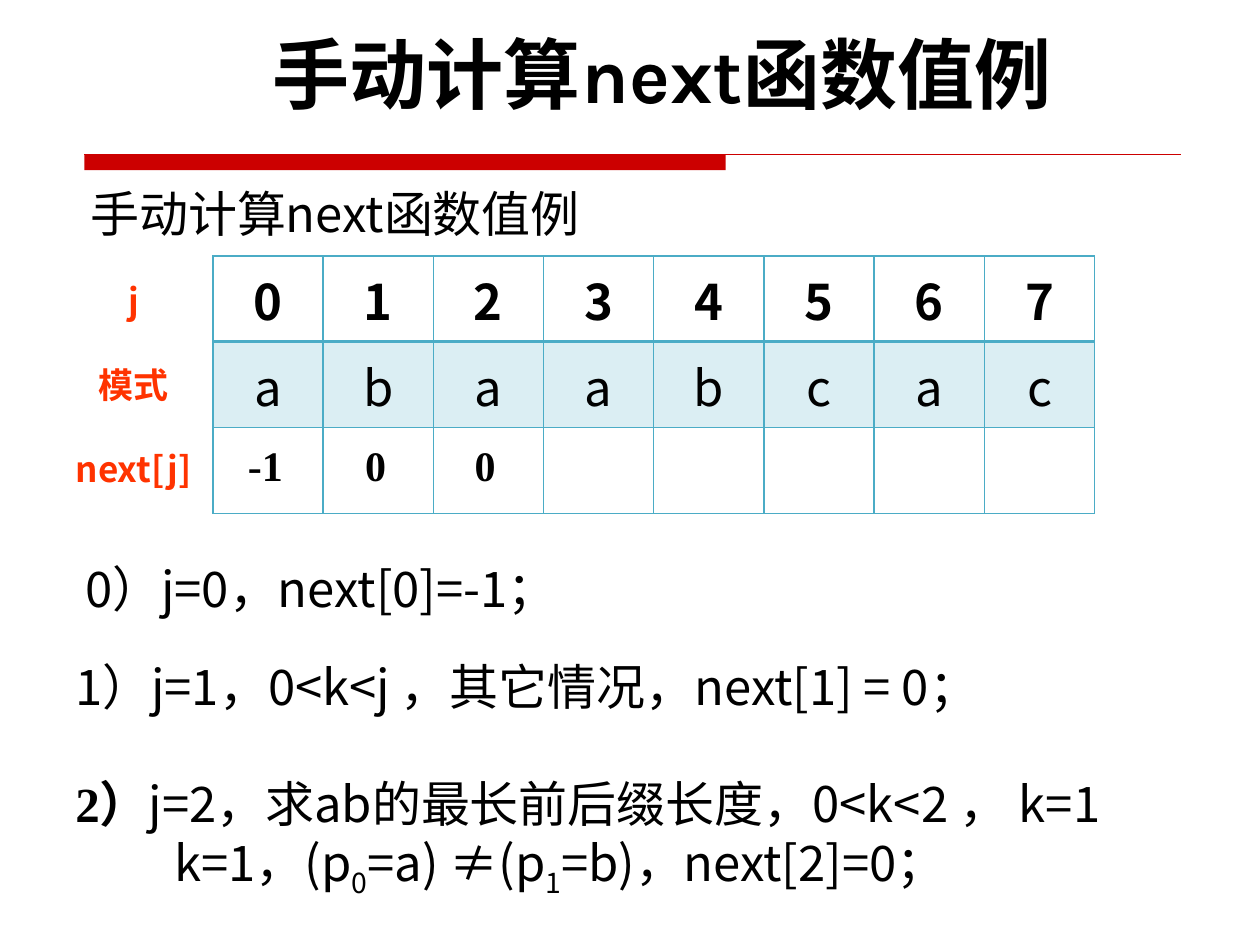
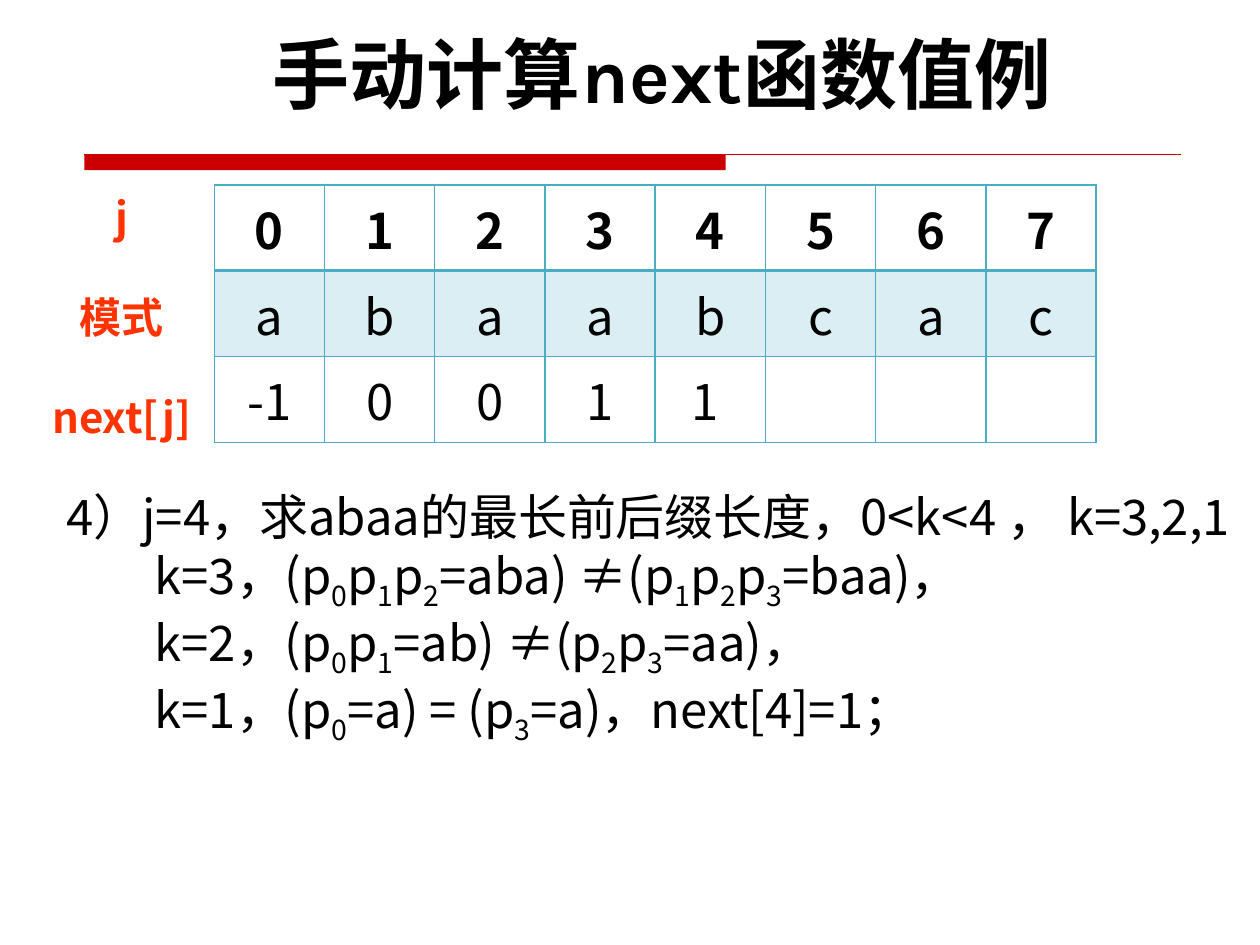
from lxml import etree
from pptx import Presentation
from pptx import util as u
from pptx.dml import color
from pptx.enum import shapes, text
from pptx.oxml import ns

BLACK, RED, ORANGE, TEAL = "000000", "CC0000", "FF3300", "4BACC6"
SANS, SERIF, TITLE_FONT = "Noto Sans CJK SC", "Times New Roman", "Karla"
HEADING = "手动计算next函数值例"
CENTER = text.PP_ALIGN.CENTER


def rgb(value):
    return color.RGBColor.from_string(value)


def write(frame, lines, size=28, font=SANS, ink=BLACK, bold=False, align=None):
    """Fill a frame; the character after each underscore is a subscript."""
    frame.text = "\n".join(line.replace("_", "") for line in lines)
    for paragraph, line in zip(frame.paragraphs, lines):
        paragraph.alignment = align
        first, *rest = line.split("_")
        pieces = [(first, False)]
        for part in rest:
            pieces += [(part[0], True), (part[1:], False)]
        paragraph.runs[0].text = first
        for piece, _ in pieces[1:]:
            paragraph.add_run().text = piece
        for run, (_, lowered) in zip(paragraph.runs, pieces):
            run.font.size, run.font.bold, run.font.name = u.Pt(size), bold, font
            run.font.color.rgb = rgb(ink)
            properties = run.font._element
            etree.SubElement(properties, ns.qn("a:ea"), typeface=SANS)
            if lowered:
                properties.set("baseline", "-25000")
    return frame


# What differs between the slides; lengths in cm
lessons = [
    dict(
        labels_at=(0.64, 5.51, 4.11, 4.6), label_size=20, label_gap=24,
        table_at=(4.29, 5.16), next_row=[],
        found=[(4.75, 8.74, "-1"), (7.11, 8.74, "0"), (9.32, 8.74, "0")],
        found_style=dict(size=24, font=SERIF, bold=True),
        steps=[
            (1.47, 11.13, 21.62, 0, ["0）j=0，next[0]=-1；"]),
            (1.27, 13.11, 21.62, 0, ["1）j=1，0<k<j ，其它情况，next[1] = 0；"]),
            (1.27, 15.47, 23.6, 2.0,
             ["2）j=2，求ab的最长前后缀长度，0<k<2 ， k=1",
              "k=1，(p_0=a) ≠(p_1=b)，next[2]=0；"]),
        ],
        bold_number="2）", subtitle=True,
    ),
    dict(
        labels_at=(0.69, 3.73, 3.53, 5.0), label_size=24, label_gap=28.5,
        table_at=(4.32, 3.73), next_row=["-1", "0", "0", "1"],
        found=[(13.69, 7.37, "1")], found_style={},
        steps=[
            (1.09, 9.68, 24.99, 1.78,
             ["4）j=4，求abaa的最长前后缀长度，0<k<4 ， k=3,2,1",
              "k=3，(p_0p_1p_2=aba) ≠(p_1p_2p_3=baa)，",
              "k=2，(p_0p_1=ab) ≠(p_2p_3=aa)，",
              "k=1，(p_0=a) = (p_3=a)，next[4]=1；"]),
        ],
        bold_number=None, subtitle=False,
    ),
]

deck = Presentation()
deck.slide_width, deck.slide_height = u.Cm(25.4), u.Cm(19.05)

for lesson in lessons:
    slide = deck.slides.add_slide(deck.slide_layouts[6])

    # Red band and rule under the title
    band = slide.shapes.add_shape(shapes.MSO_SHAPE.RECTANGLE, u.Cm(1.7), u.Cm(3.12),
                                  u.Cm(12.93), u.Cm(0.31))
    band.shadow.inherit = False
    band.fill.solid()
    band.fill.fore_color.rgb = rgb(RED)
    band.line.fill.background()
    rule = slide.shapes.add_connector(shapes.MSO_CONNECTOR.STRAIGHT, u.Cm(1.7), u.Cm(3.12),
                                      u.Cm(23.8), u.Cm(3.12))
    rule.line.color.rgb = rgb(RED)
    rule.line.width = u.Pt(0.75)
    etree.SubElement(rule._element.spPr, ns.qn("a:effectLst"))

    # Row labels
    labels = slide.shapes.add_textbox(*map(u.Cm, lesson["labels_at"])).text_frame
    labels.word_wrap = False
    write(labels, ["j", "模式", "next[j]"], lesson["label_size"], ink=ORANGE,
          bold=True, align=CENTER)
    for label in labels.paragraphs[1:]:
        label.space_before = u.Pt(lesson["label_gap"])

    # Table of index, pattern and next values
    left, top = lesson["table_at"]
    grid = slide.shapes.add_table(3, 8, u.Cm(left), u.Cm(top), u.Cm(17.78), u.Cm(5.19)).table
    grid.first_row = grid.horz_banding = False
    for row in grid.rows:
        row.height = u.Cm(1.73)
    for r, values in enumerate(["01234567", "abaabcac", lesson["next_row"]]):
        for c in range(8):
            cell = grid.cell(r, c)
            cell.vertical_anchor = text.MSO_ANCHOR.MIDDLE
            if c < len(values):
                write(cell.text_frame, [values[c]], bold=r == 0, align=CENTER)
            borders = cell._tc.get_or_add_tcPr()
            for side in "LRTB":
                thick = (r, side) in [(0, "B"), (1, "T")]
                edge = etree.SubElement(borders, ns.qn("a:ln" + side),
                                        w=str(u.Pt(2 if thick else 1)))
                paint = etree.SubElement(edge, ns.qn("a:solidFill"))
                etree.SubElement(paint, ns.qn("a:srgbClr"), val=TEAL)
            if r == 1:
                cell.fill.solid()
                cell.fill.fore_color.rgb = rgb(TEAL)
                tint = borders.find(ns.qn("a:solidFill"))[0]
                etree.SubElement(tint, ns.qn("a:alpha"), val="20000")
            else:
                cell.fill.background()

    # Worked steps
    for x, y, width, indent, lines in lesson["steps"]:
        step = slide.shapes.add_textbox(u.Cm(x), u.Cm(y), u.Cm(width),
                                        u.Cm(1.3 * len(lines))).text_frame
        step.word_wrap = True
        write(step, lines)
        for line in step.paragraphs[1:]:
            line._p.get_or_add_pPr().set("marL", str(u.Cm(indent)))
        number = lesson["bold_number"]
        if number and lines[0].startswith(number):
            lead = step.paragraphs[0]
            write(step, [number + "_" + lines[0][len(number):]] + lines[1:])
            for line in step.paragraphs[1:]:
                line._p.get_or_add_pPr().set("marL", str(u.Cm(indent)))
            lead = step.paragraphs[0].runs
            lead[0].font.name, lead[0].font.bold = SERIF, True
            lead[1].font._element.attrib.pop("baseline")

    # Next values found in the steps
    for x, y, value in lesson["found"]:
        found = slide.shapes.add_textbox(u.Cm(x), u.Cm(y), u.Cm(1.6), u.Cm(1.3)).text_frame
        found.word_wrap = True
        write(found, [value], **lesson["found_style"])

    # Bulleted subtitle
    if lesson["subtitle"]:
        subtitle = slide.shapes.add_textbox(u.Cm(1.57), u.Cm(3.58), u.Cm(23.6),
                                            u.Cm(1.4)).text_frame
        subtitle.word_wrap = True
        point = subtitle.paragraphs[0]
        write(subtitle, [HEADING])
        point.line_spacing = 0.8
        bullet = point._p.get_or_add_pPr()
        bullet.set("marL", str(u.Cm(1.3)))
        bullet.set("indent", str(u.Cm(-1.3)))
        ink = etree.SubElement(bullet, ns.qn("a:buClr"))
        etree.SubElement(ink, ns.qn("a:srgbClr"), val=RED)
        etree.SubElement(bullet, ns.qn("a:buFont"), typeface=SANS)
        etree.SubElement(bullet, ns.qn("a:buChar"), char="□")

    # Title
    title = slide.shapes.add_textbox(u.Cm(1.6), u.Cm(0.41), u.Cm(23.5), u.Cm(2.13)).text_frame
    title.word_wrap = True
    write(title, [HEADING], 44, TITLE_FONT, bold=True, align=CENTER)

deck.save("out.pptx")
